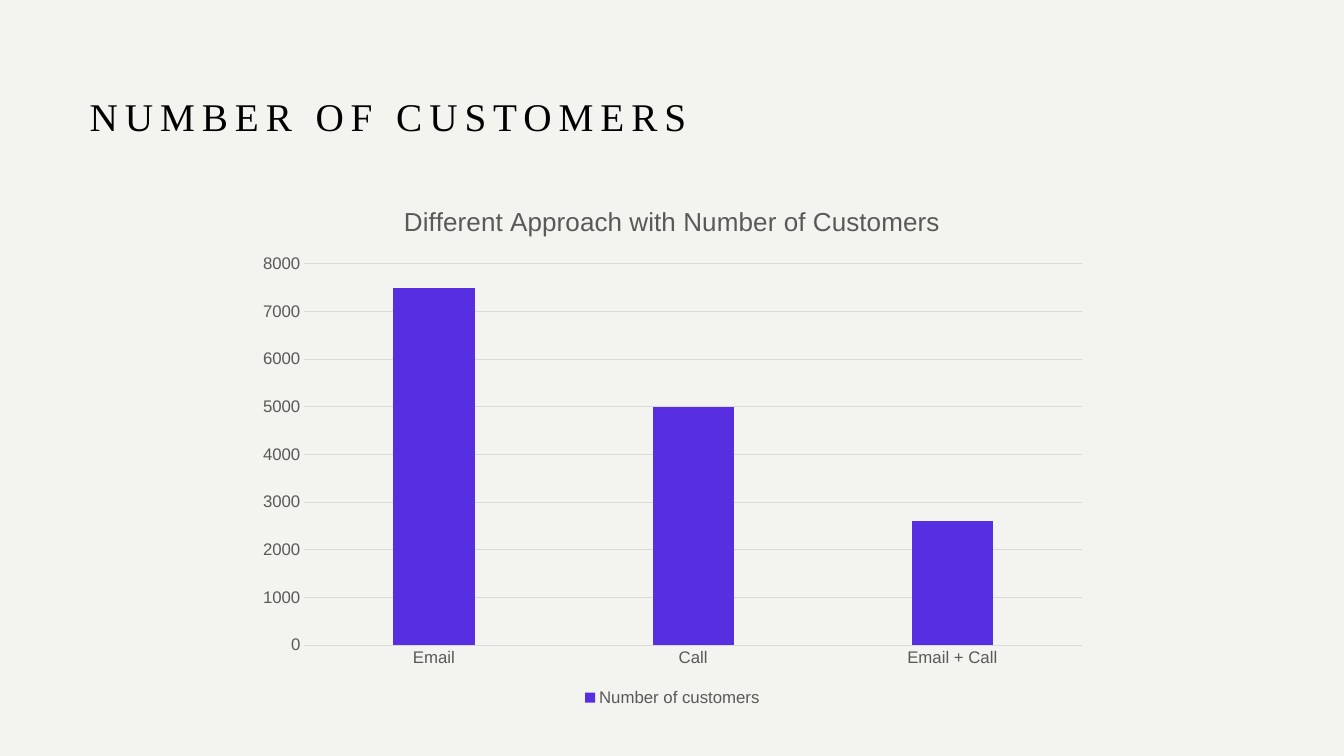
import pptx
import pptx.util
import pptx.chart.data
import pptx.dml.color
import pptx.enum.chart
import pptx.enum.text

Pt = pptx.util.Pt
WIDE = pptx.util.Inches(13.33)
HIGH = pptx.util.Inches(7.5)
HUES = {"paper": "F3F3F0", "ink": "000000", "text": "595959", "grid": "D9D9D9", "bar": "572FE1"}
SALES = {"Email": 7500, "Call": 5000, "Email + Call": 2600}


def hue(name):
    return pptx.dml.color.RGBColor.from_string(HUES[name])


def share(left, top, width, height):
    return [int(part * full / 100) for part, full in
            zip((left, top, width, height), (WIDE, HIGH, WIDE, HIGH))]


def style(font, size, color, face="Arial"):
    font.size = Pt(size)
    font.name = face
    font.bold = False
    font.color.rgb = hue(color)


def rule(line):
    line.color.rgb = hue("grid")
    line.width = Pt(0.75)


def add_title(slide, box):
    frame = slide.shapes.add_textbox(*box).text_frame
    frame.word_wrap = True
    frame.vertical_anchor = pptx.enum.text.MSO_ANCHOR.MIDDLE
    line = frame.paragraphs[0]
    line.line_spacing = 1.2
    run = line.add_run()
    run.text = "NUMBER OF CUSTOMERS"
    style(run.font, 28, "ink", "Times New Roman")
    run.font._element.set("spc", "500")


def add_bars(slide, box):
    kinds = pptx.enum.chart
    data = pptx.chart.data.CategoryChartData()
    data.categories = list(SALES)
    data.add_series("Number of customers", list(SALES.values()))
    chart = slide.shapes.add_chart(kinds.XL_CHART_TYPE.COLUMN_CLUSTERED, *box, data).chart
    style(chart.font, 10, "ink")

    chart.has_title = True
    run = chart.chart_title.text_frame.paragraphs[0].add_run()
    run.text = "Different Approach with Number of Customers"
    style(run.font, 18.6, "text")
    chart.chart_title.include_in_layout = False

    chart.has_legend = True
    chart.legend.position = kinds.XL_LEGEND_POSITION.BOTTOM
    chart.legend.include_in_layout = False
    style(chart.legend.font, 12, "text")

    for axis in (chart.category_axis, chart.value_axis):
        axis.major_tick_mark = kinds.XL_TICK_MARK.NONE
        axis.minor_tick_mark = kinds.XL_TICK_MARK.NONE
        style(axis.tick_labels.font, 12, "text")
    rule(chart.category_axis.format.line)
    scale = chart.value_axis
    scale.format.line.fill.background()
    scale.minimum_scale = 0
    scale.maximum_scale = 8000
    scale.major_unit = 1000
    scale.has_major_gridlines = True
    rule(scale.major_gridlines.format.line)

    plot = chart.plots[0]
    plot.vary_by_categories = False
    plot.gap_width = 219
    plot.overlap = -27
    fill = plot.series[0].format.fill
    fill.solid()
    fill.fore_color.rgb = hue("bar")


def main():
    deck = pptx.Presentation()
    deck.slide_width = WIDE
    deck.slide_height = HIGH
    slide = deck.slides.add_slide(deck.slide_layouts[6])
    fill = slide.background.fill
    fill.solid()
    fill.fore_color.rgb = hue("paper")
    add_title(slide, share(5.93, 5.2, 78.77, 19.07))
    add_bars(slide, share(18.3, 24.27, 63.47, 69.73))
    deck.save("out.pptx")


if __name__ == "__main__":
    main()
